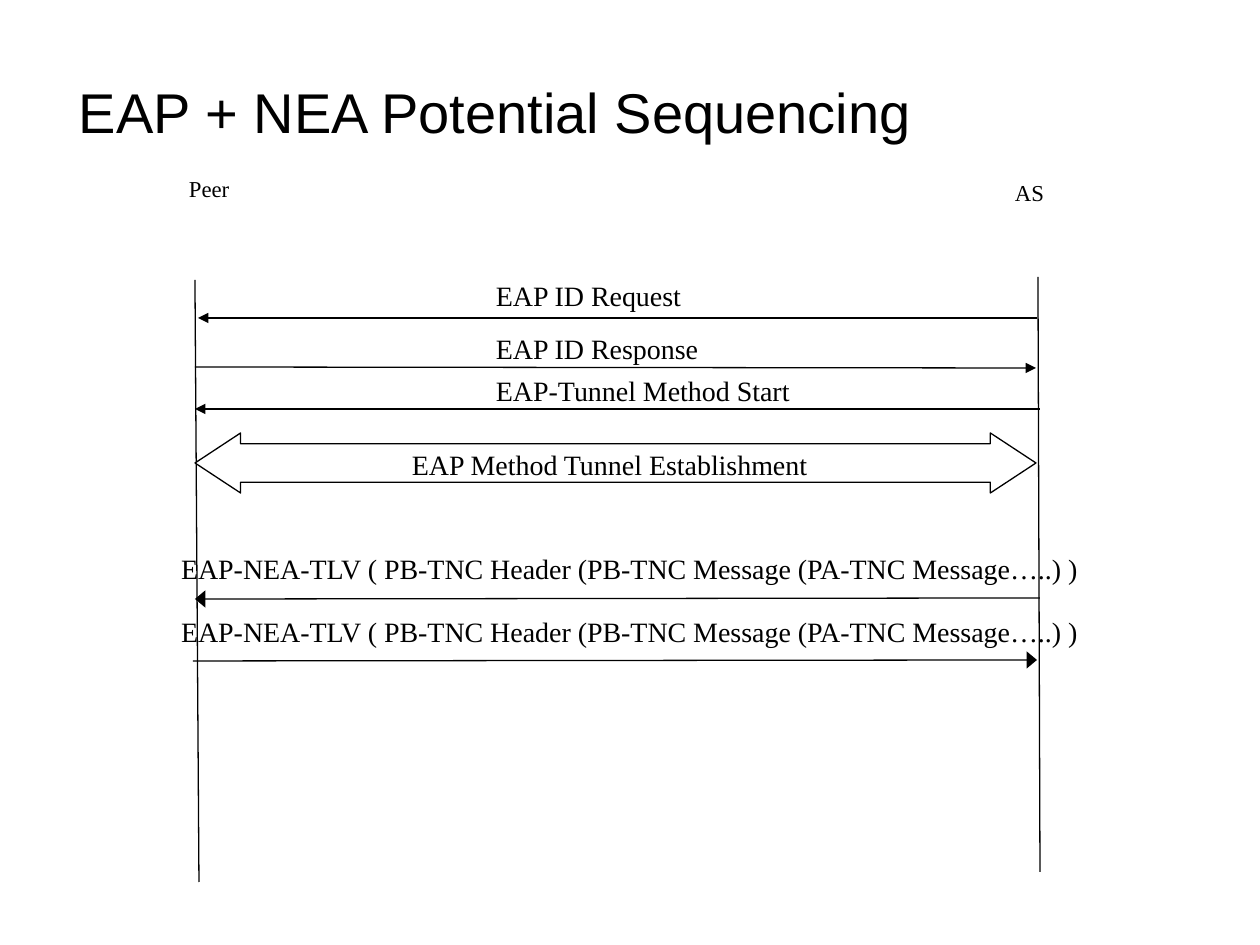
from lxml.etree import SubElement
from pptx import Presentation
from pptx.dml.color import RGBColor
from pptx.enum.shapes import MSO_CONNECTOR, MSO_SHAPE
from pptx.enum.text import MSO_ANCHOR, PP_ALIGN
from pptx.oxml.ns import qn
from pptx.util import Pt

SCALE = 914400 / 126
INK = "000000"
PAPER = "FFFFFF"
SERIF = "Times New Roman"
TLV = "EAP-NEA-TLV ( PB-TNC Header (PB-TNC Message (PA-TNC Message…..) )"


def px(*nums):
    return [round(n * SCALE) for n in nums]


def color(hue):
    return RGBColor.from_string(hue)


def write(shape, text, size=16, font=SERIF, align=PP_ALIGN.LEFT,
          anchor=MSO_ANCHOR.TOP, inset=(13, 6, 13, 6), wrap=True, lead=1.0):
    frame = shape.text_frame
    frame.word_wrap = wrap
    frame.vertical_anchor = anchor
    (frame.margin_left, frame.margin_top,
     frame.margin_right, frame.margin_bottom) = px(*inset)
    frame.text = text
    para = frame.paragraphs[0]
    para.alignment = align
    para.line_spacing = lead
    para.font.size = Pt(size)
    para.font.name = font
    para.font.color.rgb = color(INK)


def label(slide, box, text, **style):
    shape = slide.shapes.add_textbox(*px(*box))
    write(shape, text, **style)
    return shape


def block(slide, kind, box, line=True):
    shape = slide.shapes.add_shape(kind, *px(*box))
    shape.shadow.inherit = False
    shape.fill.solid()
    shape.fill.fore_color.rgb = color(PAPER)
    if line:
        shape.line.color.rgb = color(INK)
        shape.line.width = Pt(0.75)
    else:
        shape.line.fill.background()
    return shape


def rule(slide, ends, tip=None):
    line = slide.shapes.add_connector(MSO_CONNECTOR.STRAIGHT, *px(*ends))
    line.line.color.rgb = color(INK)
    line.line.width = Pt(0.75)
    props = line._element.spPr
    if tip:
        SubElement(props.find(qn("a:ln")), qn("a:tailEnd"),
                   type="triangle", w=tip, len="med")
    SubElement(props, qn("a:effectLst"))


def main():
    deck = Presentation()
    deck.slide_width, deck.slide_height = px(1260, 945)
    slide = deck.slides.add_slide(deck.slide_layouts[5])

    title = slide.shapes.title
    title.left, title.top, title.width, title.height = px(53, 35, 1051, 116)
    write(title, "EAP + NEA Potential Sequencing", size=32, font="Arial",
          anchor=MSO_ANCHOR.BOTTOM, inset=(26, 5, 11, 5), lead=0.9)

    label(slide, (1005, 174, 50, 38), "AS", size=13,
          inset=(10, 5, 10, 5), wrap=False)
    peer = block(slide, MSO_SHAPE.RECTANGLE, (155, 171, 108, 35), line=False)
    write(peer, "Peer", size=13, align=PP_ALIGN.CENTER, inset=(9, 4, 9, 4))

    for ends in ((195, 280, 199, 882), (1038, 277, 1040, 872)):
        rule(slide, ends)

    tunnel = block(slide, MSO_SHAPE.LEFT_RIGHT_ARROW, (195, 433, 841, 60))
    tunnel.adjustments[0] = 0.64
    tunnel.adjustments[1] = 0.76
    label(slide, (399, 442, 546, 48), "EAP Method Tunnel Establishment")

    steps = (
        ((1037, 318, 198, 318), "med", (483, 273, 312, 40), "EAP ID Request"),
        ((195, 367, 1036, 368), "med", (483, 326, 312, 38), "EAP ID Response"),
        ((1040, 409, 195, 409), "med", (483, 368, 441, 23),
         "EAP-Tunnel Method Start"),
        ((1040, 598, 195, 599), "lg", (168, 546, 940, 42), TLV),
        ((193, 661, 1037, 660), "lg", (168, 609, 940, 42), TLV),
    )
    for ends, tip, box, text in steps:
        rule(slide, ends, tip)
        label(slide, box, text)

    deck.save("out.pptx")


if __name__ == "__main__":
    main()
